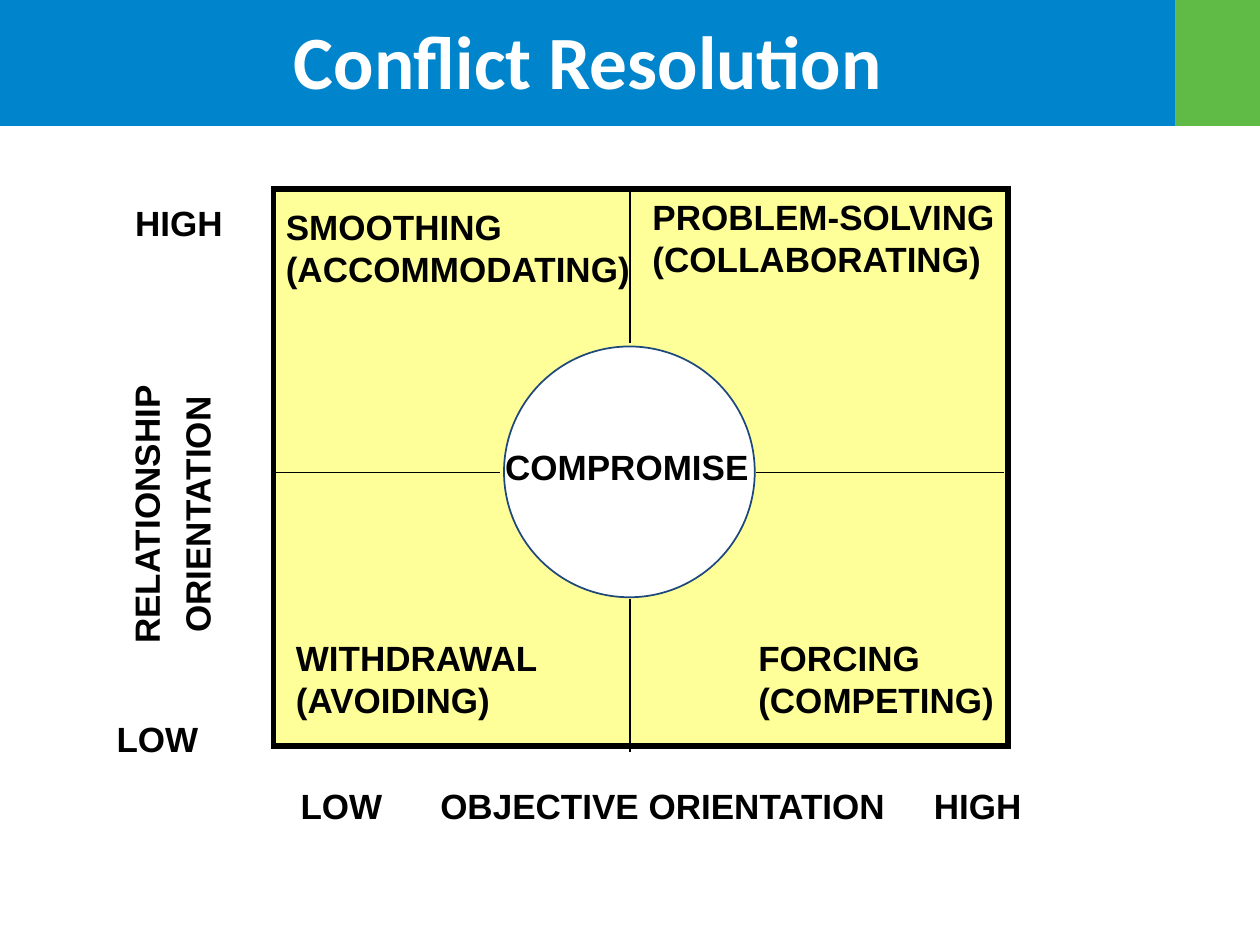
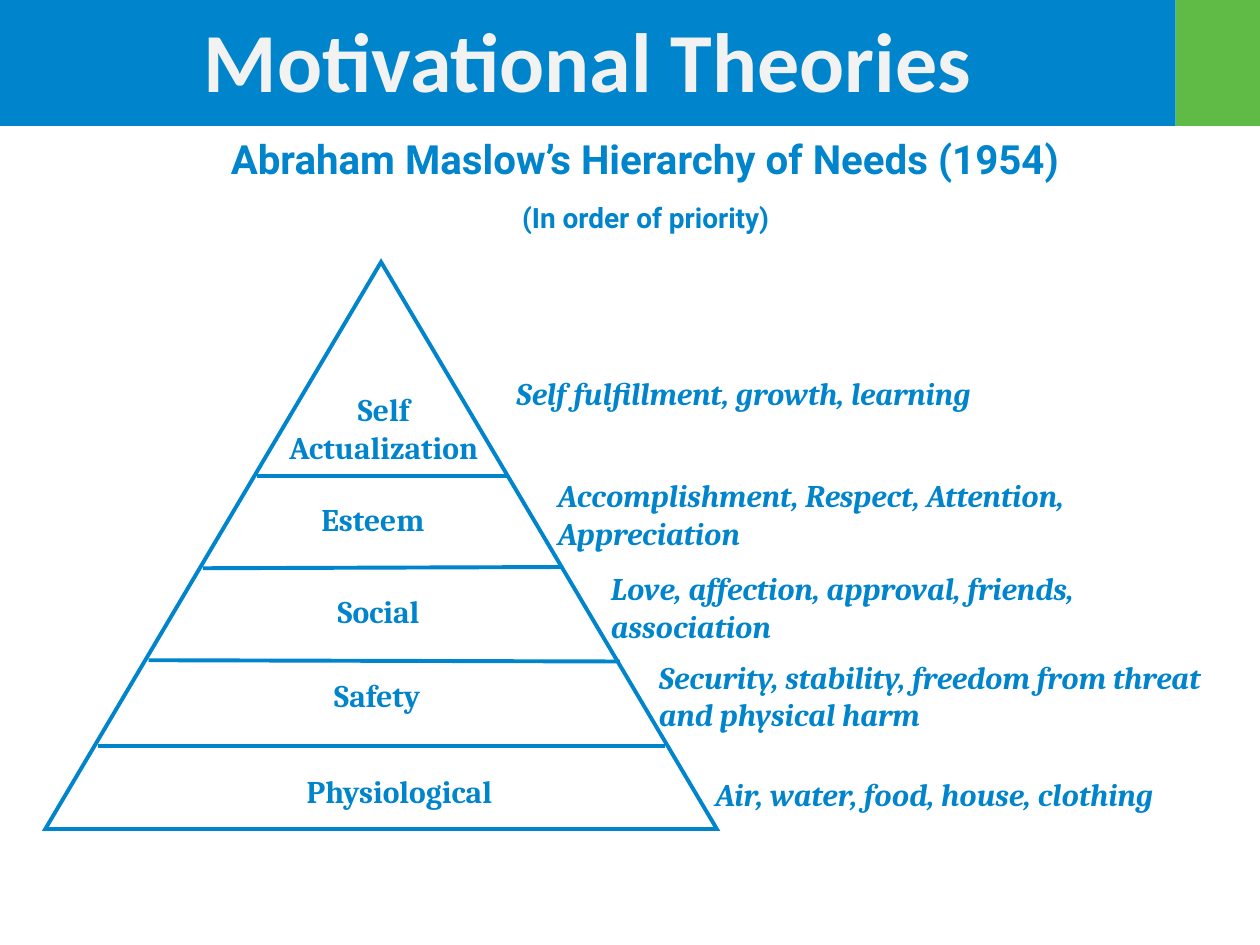
"""Build two slides: a conflict resolution grid and a pyramid of needs."""
import pptx
import pptx.util
import pptx.dml.color
import pptx.enum.shapes
import pptx.enum.text
import pptx.oxml.ns
import lxml.etree

Inches = pptx.util.Inches
Kind = pptx.enum.shapes.MSO_SHAPE
Align = pptx.enum.text.PP_ALIGN
Anchor = pptx.enum.text.MSO_ANCHOR

BLUE, GREEN, WHITE, BLACK = "0084CC", "60BB46", "FFFFFF", "000000"
BANDS = [(-0.01, 9.34, BLUE), (9.33, 0.67, GREEN)]

FRAME = (2.17, 1.5, 5.83, 4.42)
DISC = (4, 2.75, 1.99, 1.99)
SPOKES = [
    ((2.17, 3.75), (3.97, 3.75)),
    ((6, 3.75), (7.97, 3.75)),
    ((5, 1.5), (5, 2.72)),
    ((5, 4.75), (5, 5.97)),
]
MODES = [
    (["COMPROMISE"], (3.91, 3.49, 2.29, 0.43)),
    (["SMOOTHING", "(ACCOMMODATING)"], (2.17, 1.58, 2.95, 0.77)),
    (["PROBLEM-SOLVING", "(COLLABORATING)"], (5.08, 1.5, 2.93, 0.77)),
    (["FORCING", "(COMPETING)"], (5.92, 5, 2.07, 0.77)),
    (["WITHDRAWAL", "(AVOIDING)"], (2.25, 5, 2.15, 0.77)),
]
AXES = [
    (["HIGH"], (0.82, 1.58, 1.2, 0.42), 0),
    (["LOW"], (0.65, 5.67, 1.2, 0.42), 0),
    (["RELATIONSHIP", "ORIENTATION"], (0.13, 3.46, 2.5, 1.25), 270),
    (["LOW"], (2.21, 6.25, 1, 0.33), 0),
    (["OBJECTIVE ORIENTATION"], (3.26, 6.25, 4, 0.33), 0),
    (["HIGH"], (7.26, 6.25, 1, 0.33), 0),
]

PEAK = (0.36, 2.08, 5.33, 4.5)
LEVELS = [
    ((2.04, 3.78), (4.04, 3.78)),
    ((1.61, 4.51), (4.47, 4.5)),
    ((1.18, 5.24), (4.92, 5.25)),
    ((0.78, 5.92), (5.28, 5.92)),
]
NEEDS = [
    ("Self Actualization", (2.17, 3.05, 1.75, 1),
     "Self fulfillment, growth, learning", (4, 2.92, 5.25, 0.4)),
    ("Esteem", (2, 3.92, 1.92, 0.4),
     "Accomplishment, Respect, Attention, Appreciation", (4.33, 3.73, 5.42, 0.7)),
    ("Social", (1.92, 4.65, 2.17, 0.4),
     "Love, affection, approval, friends, association", (4.75, 4.47, 4.92, 0.7)),
    ("Safety", (1.83, 5.32, 2.33, 0.86),
     "Security, stability, freedom from threat and physical harm", (5.13, 5.17, 4.75, 0.7)),
    ("Physiological", (1.42, 6.08, 3.5, 0.4),
     "Air, water, food, house, clothing", (5.58, 6.1, 3.83, 0.7)),
]


def tint(code):
    return pptx.dml.color.RGBColor.from_string(code)


def draw(slide, kind, box, fill=None, line=None, width=1):
    shape = slide.shapes.add_shape(kind, *map(Inches, box))
    shape.shadow.inherit = False
    if fill:
        shape.fill.solid()
        shape.fill.fore_color.rgb = tint(fill)
    else:
        shape.fill.background()
    if line:
        shape.line.color.rgb = tint(line)
        shape.line.width = pptx.util.Pt(width)
        edge = shape._element.spPr.find(pptx.oxml.ns.qn("a:ln"))
        lxml.etree.SubElement(edge, pptx.oxml.ns.qn("a:miter"), lim="800000")
    else:
        shape.line.fill.background()


def rule(slide, start, end, color, width):
    line = slide.shapes.add_connector(
        pptx.enum.shapes.MSO_CONNECTOR.STRAIGHT, *map(Inches, start + end))
    line.line.color.rgb = tint(color)
    line.line.width = pptx.util.Pt(width)
    props = line._element.spPr
    lxml.etree.SubElement(props, pptx.oxml.ns.qn("a:effectLst"))


def write(slide, lines, box, sizes=(20,), font="Arial", color=BLACK, italic=False,
          align=Align.LEFT, anchor=Anchor.TOP, wrap=True, gap=0, lead=1.0, turn=0):
    shape = slide.shapes.add_textbox(*map(Inches, box))
    shape.rotation = turn
    frame = shape.text_frame
    frame.word_wrap = wrap
    frame.vertical_anchor = anchor
    for i, text in enumerate(lines):
        para = frame.add_paragraph() if i else frame.paragraphs[0]
        para.alignment = align
        para.line_spacing = lead
        if i:
            para.space_before = pptx.util.Pt(gap)
        run = para.add_run()
        run.text = text
        run.font.name = font
        run.font.size = pptx.util.Pt(sizes[min(i, len(sizes) - 1)])
        run.font.bold = True
        run.font.italic = italic
        run.font.color.rgb = tint(color)


def start(deck, title, size, color):
    slide = deck.slides.add_slide(deck.slide_layouts[6])
    for left, width, fill in BANDS:
        draw(slide, Kind.RECTANGLE, (left, 0, width, 1), fill)
    write(slide, [title], (0.08, 0.03, 9.17, 0.88), sizes=(size,), font="Calibri",
          color=color, align=Align.CENTER, anchor=Anchor.MIDDLE)
    return slide


def conflict(deck):
    slide = start(deck, "Conflict Resolution", 43, WHITE)
    for lines, box, turn in AXES:
        write(slide, lines, box, align=Align.CENTER, anchor=Anchor.MIDDLE,
              wrap=False, gap=7.5, lead=0.9, turn=turn)
    draw(slide, Kind.RECTANGLE, FRAME, "FFFF99", BLACK, 3)
    for head, tail in SPOKES:
        rule(slide, head, tail, BLACK, 1)
    draw(slide, Kind.OVAL, DISC, WHITE, "1F497D")
    for lines, box in MODES:
        write(slide, lines, box, wrap=False)


def needs(deck):
    slide = start(deck, "Motivational Theories", 48, "F2F2F2")
    write(slide, ["Abraham Maslow’s Hierarchy of Needs (1954)", "(In order of priority)"],
          (0.96, 1.02, 8.33, 0.89), sizes=(23, 16), font="Roboto", color=BLUE,
          align=Align.CENTER, gap=10)
    draw(slide, Kind.ISOSCELES_TRIANGLE, PEAK, line=BLUE, width=2.25)
    for head, tail in LEVELS:
        rule(slide, head, tail, BLUE, 2.25)
    for name, spot, gist, side in NEEDS:
        write(slide, [name], spot, sizes=(18,), font="Cambria", color=BLUE,
              align=Align.CENTER)
        write(slide, [gist], side, sizes=(18,), font="Cambria", color=BLUE, italic=True)


def main():
    deck = pptx.Presentation()
    deck.slide_width, deck.slide_height = Inches(10), Inches(7.5)
    conflict(deck)
    needs(deck)
    deck.save("out.pptx")


if __name__ == "__main__":
    main()
